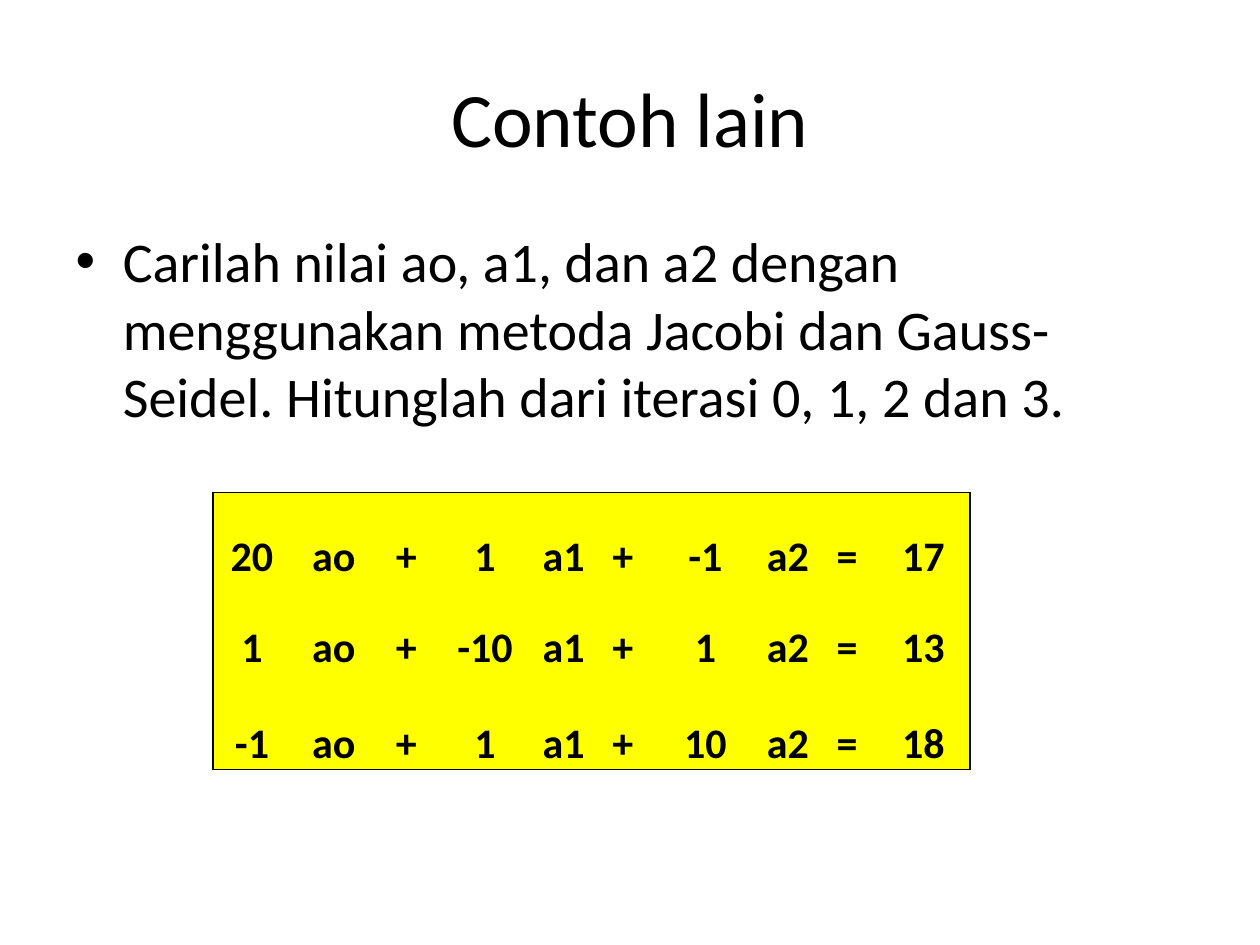
"""Build a slide posing a linear system for the Jacobi and Gauss-Seidel methods."""
import pptx
import pptx.dml.color
import pptx.enum.text
import pptx.oxml.ns
import pptx.util
from lxml import etree
from pptx.util import Inches


def color(value):
    return pptx.dml.color.RGBColor.from_string(value)


def format_text(frame, size, bold=False):
    for paragraph in frame.paragraphs:
        for run in paragraph.runs:
            run.font.name = "Calibri"
            run.font.size = pptx.util.Pt(size)
            run.font.bold = bold
            run.font.color.rgb = color("000000")


qn = pptx.oxml.ns.qn
presentation = pptx.Presentation()
presentation.slide_width = Inches(10)
presentation.slide_height = Inches(7.5)
slide = presentation.slides.add_slide(presentation.slide_layouts[1])

title = slide.shapes.title
title.left, title.top, title.width, title.height = map(Inches, (0.5, 0.3, 9, 1.25))
title.text_frame.text = "Contoh lain"
format_text(title.text_frame, 44)

task = slide.placeholders[1]
task.left, task.top, task.width, task.height = map(Inches, (0.5, 1.75, 9, 4.95))
task.text_frame.text = (
    "Carilah nilai ao, a1, dan a2 dengan menggunakan metoda Jacobi dan "
    "Gauss-Seidel. Hitunglah dari iterasi 0, 1, 2 dan 3."
)
format_text(task.text_frame, 32)

coefficients = [(20, 1, -1, 17), (1, -10, 1, 13), (-1, 1, 10, 18)]
column_widths = [0.62, 0.68, 0.47, 0.78, 0.47, 0.47, 0.84, 0.47, 0.47, 0.74]
row_heights = [0.72, 0.72, 0.76]
last_row, last_column = len(row_heights) - 1, len(column_widths) - 1

equations = slide.shapes.add_table(
    len(row_heights), len(column_widths), Inches(1.69), Inches(3.91),
    Inches(sum(column_widths)), Inches(sum(row_heights)),
).table
equations.first_row = False
equations.horz_banding = False
for column, width in zip(equations.columns, column_widths):
    column.width = Inches(width)
for row, height in zip(equations.rows, row_heights):
    row.height = Inches(height)

for row, (first, second, third, result) in enumerate(coefficients):
    terms = [first, "ao", "+", second, "a1", "+", third, "a2", "=", result]
    for column, term in enumerate(terms):
        cell = equations.cell(row, column)
        cell.margin_left = cell.margin_right = cell.margin_top = Inches(0.01)
        cell.margin_bottom = 0
        cell.vertical_anchor = pptx.enum.text.MSO_ANCHOR.BOTTOM
        cell.text_frame.text = str(term)
        cell.text_frame.paragraphs[0].alignment = pptx.enum.text.PP_ALIGN.CENTER
        format_text(cell.text_frame, 24, bold=True)

        outer_edges = {
            "a:lnL": column == 0,
            "a:lnR": column == last_column,
            "a:lnT": row == 0,
            "a:lnB": row == last_row,
        }
        properties = cell._tc.get_or_add_tcPr()
        for edge, is_outer in outer_edges.items():
            border = etree.SubElement(properties, qn(edge), w=str(pptx.util.Pt(1)))
            if is_outer:
                border_fill = etree.SubElement(border, qn("a:solidFill"))
                etree.SubElement(border_fill, qn("a:srgbClr"), val="000000")
            else:
                etree.SubElement(border, qn("a:noFill"))
        cell.fill.solid()
        cell.fill.fore_color.rgb = color("FFFF00")

presentation.save("out.pptx")
